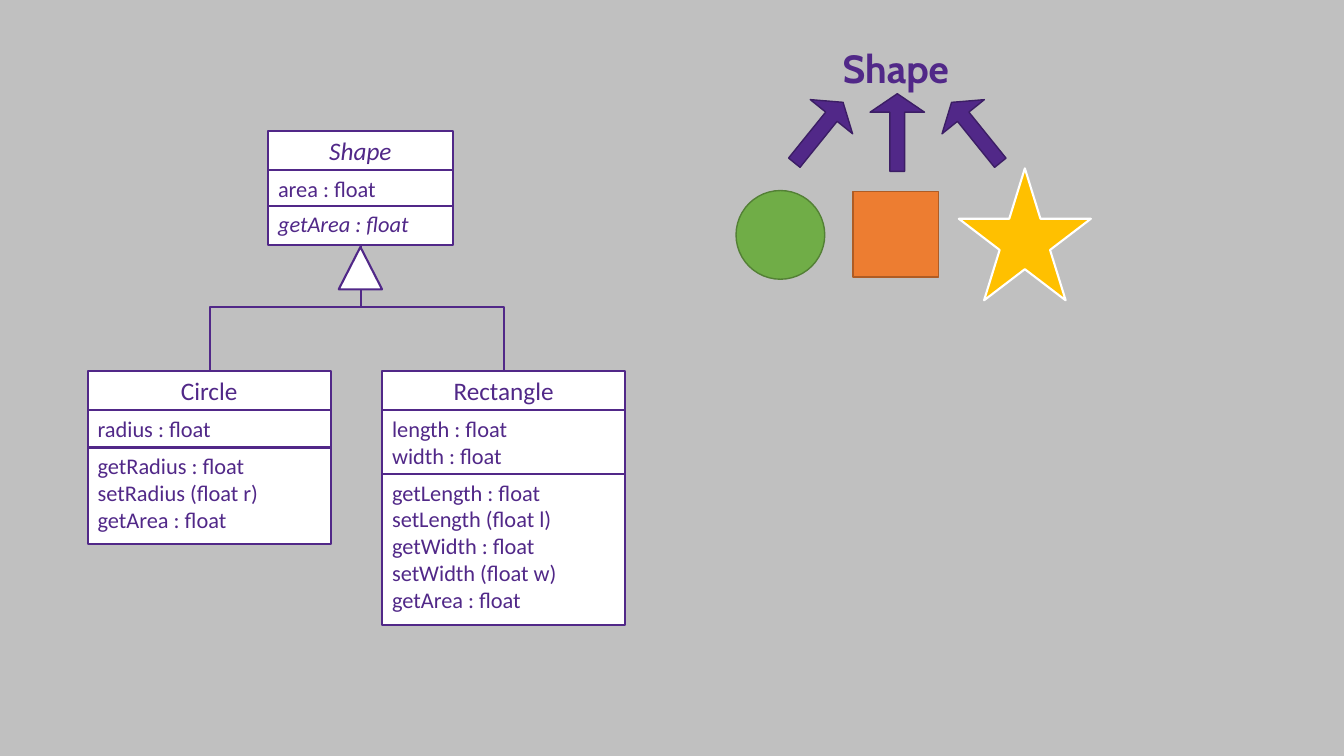
from pptx import Presentation, util as u
from pptx.dml.color import RGBColor
from pptx.enum import shapes, text
from lxml import etree

PX = 9144  # EMU per px, 100 px to the inch
PURPLE = RGBColor(0x51, 0x28, 0x88)
DARK_PURPLE = RGBColor(0x3C, 0x1E, 0x65)
WHITE = RGBColor(0xFF, 0xFF, 0xFF)
GREY = RGBColor(0xC0, 0xC0, 0xC0)
GREEN = RGBColor(0x70, 0xAD, 0x47)
DARK_GREEN = RGBColor(0x53, 0x80, 0x35)
ORANGE = RGBColor(0xED, 0x7D, 0x31)
DARK_ORANGE = RGBColor(0xAF, 0x5C, 0x24)
GOLD = RGBColor(0xFF, 0xC0, 0x00)
DRAWING_NS = "http://schemas.openxmlformats.org/drawingml/2006/main"
PRESET = shapes.MSO_SHAPE


def write(frame, lines, size=16, font="Calibri", bold=False, italic=False,
          align=text.PP_ALIGN.LEFT, anchor=text.MSO_ANCHOR.TOP, wrap=True):
    frame.word_wrap = wrap
    frame.vertical_anchor = anchor
    for number, line in enumerate(lines):
        paragraph = frame.add_paragraph() if number else frame.paragraphs[0]
        paragraph.alignment = align
        run = paragraph.add_run()
        run.text = line
        run.font.name, run.font.size = font, u.Pt(size)
        run.font.bold, run.font.italic = bold, italic
        run.font.color.rgb = PURPLE


class Diagram:
    def __init__(self, slide):
        self.slide = slide
        self.line_width = u.Pt(1.5)

    def shape(self, preset, left, top, width, height, fill=WHITE, line=PURPLE,
              line_width=None, rotation=0):
        item = self.slide.shapes.add_shape(
            preset, left * PX, top * PX, width * PX, height * PX)
        item.shadow.inherit = False
        item.fill.solid()
        item.fill.fore_color.rgb = fill
        item.line.color.rgb = line
        item.line.width = line_width or self.line_width
        item.rotation = rotation
        return item

    def uml_class(self, left, top, width, name, fields, methods, heights, abstract=False):
        """Stack the name, field and method compartments of one class."""
        centred = dict(size=18, italic=abstract, align=text.PP_ALIGN.CENTER,
                       anchor=text.MSO_ANCHOR.MIDDLE)
        compartments = (([name], centred), (fields, {}), (methods, dict(italic=abstract)))
        for (lines, style), height in zip(compartments, heights):
            box = self.shape(PRESET.RECTANGLE, left, top, width, height)
            write(box.text_frame, lines, **style)
            top += height

    def inheritance(self, child_x, child_y, parent_x, parent_y):
        """Elbow that leaves the child upwards: a sideways elbow turned a quarter."""
        mid_x, mid_y = (child_x + parent_x) / 2, (child_y + parent_y) / 2
        half_width, half_height = abs(child_x - parent_x) / 2, (child_y - parent_y) / 2
        side = 1 if child_x < parent_x else -1
        ends = (mid_x + side * half_height, mid_y + half_width,
                mid_x - side * half_height, mid_y - half_width)
        elbow = self.slide.shapes.add_connector(
            shapes.MSO_CONNECTOR.ELBOW, *(round(end * PX) for end in ends))
        elbow.line.color.rgb = PURPLE
        elbow.line.width = self.line_width
        properties = elbow._element.spPr
        turn = 90 if side == 1 else 270
        properties.find(f"{{{DRAWING_NS}}}xfrm").set("rot", str(turn * 60000))
        etree.SubElement(properties, f"{{{DRAWING_NS}}}effectLst")

    def arrow(self, left, rotation):
        arrow = self.shape(PRESET.UP_ARROW, left, 93, 54, 77, PURPLE, DARK_PURPLE,
                           u.Pt(1), rotation)
        arrow.adjustments[0] = 0.27
        arrow.adjustments[1] = 0.34

    def heading(self, left, top, width, height, title):
        box = self.slide.shapes.add_textbox(left * PX, top * PX, width * PX, height * PX)
        write(box.text_frame, [title], size=28, font="Cabin", bold=True, wrap=False)
        box.text_frame.auto_size = text.MSO_AUTO_SIZE.SHAPE_TO_FIT_TEXT


def main():
    deck = Presentation()
    deck.slide_width, deck.slide_height = 1333 * PX, 750 * PX
    slide = deck.slides.add_slide(deck.slide_layouts[6])
    slide.background.fill.solid()
    slide.background.fill.fore_color.rgb = GREY
    diagram = Diagram(slide)

    diagram.uml_class(266, 130, 183, "Shape", ["area : float"], ["getArea : float"],
                      (39, 35, 39), abstract=True)
    diagram.uml_class(87, 368, 241, "Circle", ["radius : float"],
                      ["getRadius : float", "setRadius (float r)", "getArea : float"],
                      (39, 37, 96))
    diagram.uml_class(379, 368, 241, "Rectangle", ["length : float", "width : float"],
                      ["getLength : float", "setLength (float l)", "getWidth : float",
                       "setWidth (float w)", "getArea : float"],
                      (39, 63, 150))
    for child_x in (208, 500):
        diagram.inheritance(child_x, 368, 358, 242)
    diagram.shape(PRESET.ISOSCELES_TRIANGLE, 336, 245, 43, 42)

    diagram.heading(826, 39, 129, 57, "Shape")
    for left, rotation in ((785, 38.9), (863, 0), (941, -38.9)):
        diagram.arrow(left, rotation)
    diagram.shape(PRESET.OVAL, 730, 189, 88, 88, GREEN, DARK_GREEN, u.Pt(1))
    diagram.shape(PRESET.RECTANGLE, 846, 190, 85, 85, ORANGE, DARK_ORANGE, u.Pt(1))
    diagram.shape(PRESET.STAR_5_POINT, 951, 167, 131, 131, GOLD, WHITE)

    deck.save("out.pptx")


if __name__ == "__main__":
    main()
